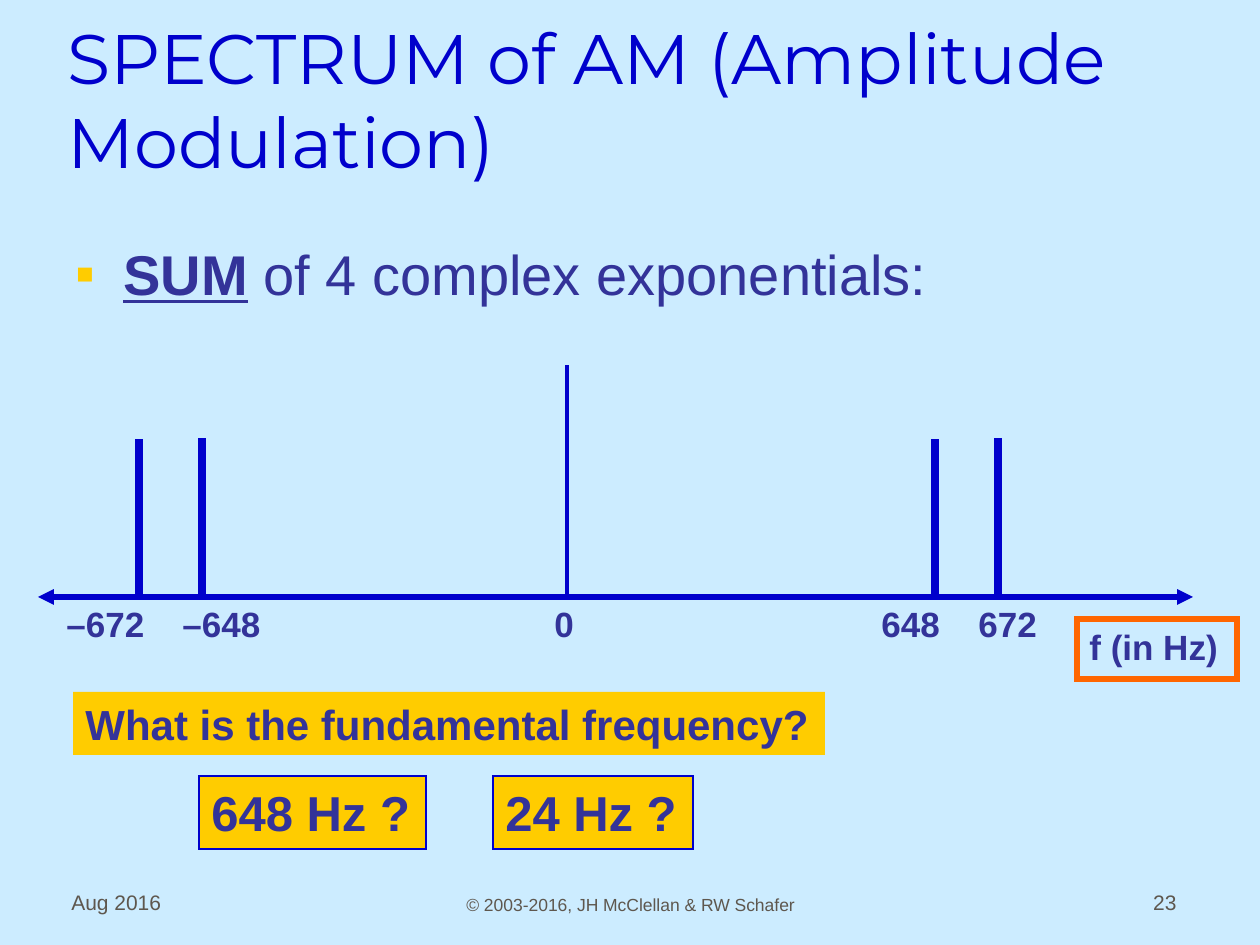
from lxml import etree
from pptx import Presentation
from pptx import util as u
from pptx.dml.color import RGBColor
from pptx.enum import shapes, text
from pptx.oxml.ns import qn

SCALE = 914400 / 126
BLUE, INDIGO, GOLD, ORANGE, GREY = "0000CC", "333399", "FFCC00", "FF6600", "5E574E"
LEFT, CENTER, RIGHT = text.PP_ALIGN.LEFT, text.PP_ALIGN.CENTER, text.PP_ALIGN.RIGHT
TOP, BOTTOM = text.MSO_ANCHOR.TOP, text.MSO_ANCHOR.BOTTOM
AXIS_Y = 597


def emu(*lengths):
    return [round(length * SCALE) for length in lengths]


def color(value):
    return RGBColor.from_string(value)


def add_span(para, words, size=20, fill=INDIGO, bold=False, underline=False, font="Arial"):
    span = para.add_run()
    span.text = words
    span.font.name, span.font.size = font, u.Pt(size)
    span.font.bold, span.font.underline = bold, underline
    span.font.color.rgb = color(fill)


class SpectrumPage:
    """Holds the style and the current slide, and adds each kind of element."""

    def __init__(self, deck):
        self.page = deck.slides.add_slide(deck.slide_layouts[5])
        self.page.background.fill.solid()
        self.page.background.fill.fore_color.rgb = color("CCECFF")

    def frame(self, box, align=LEFT, anchor=TOP, wrap=True):
        frame = box.text_frame
        frame.word_wrap = wrap
        fit = text.MSO_AUTO_SIZE
        frame.auto_size = fit.NONE if wrap else fit.SHAPE_TO_FIT_TEXT
        frame.vertical_anchor = anchor
        para = frame.paragraphs[0]
        para.alignment = align
        return para

    def title(self, words, *place):
        box = self.page.shapes.title
        box.left, box.top, box.width, box.height = emu(*place)
        add_span(self.frame(box, anchor=BOTTOM), words, size=40, fill=BLUE, font="Montserrat")

    def label(self, words, *place, align=LEFT, anchor=TOP, wrap=False, **style):
        box = self.page.shapes.add_textbox(*emu(*place))
        add_span(self.frame(box, align, anchor, wrap), words, **style)

    def bullet(self, spans, *place):
        box = self.page.shapes.add_textbox(*emu(*place))
        para = self.frame(box)
        indent = emu(48)[0]
        props = para._p.get_or_add_pPr()
        props.set("marL", str(indent))
        props.set("indent", str(-indent))
        tint = etree.SubElement(props, qn("a:buClr"))
        etree.SubElement(tint, qn("a:srgbClr"), val=GOLD)
        etree.SubElement(props, qn("a:buFont"), typeface="Arial")
        etree.SubElement(props, qn("a:buChar"), char="▪")
        for words, style in spans:
            add_span(para, words, size=32, **style)

    def panel(self, words, *place, size=20, fill=None, line=None, width=0.75):
        box = self.page.shapes.add_shape(shapes.MSO_SHAPE.RECTANGLE, *emu(*place))
        box.shadow.inherit = False
        if fill:
            box.fill.solid()
            box.fill.fore_color.rgb = color(fill)
        else:
            box.fill.background()
        if line:
            box.line.color.rgb = color(line)
            box.line.width = u.Pt(width)
            outline = box._element.spPr.find(qn("a:ln"))
            etree.SubElement(outline, qn("a:miter"), lim="800000")
        else:
            box.line.fill.background()
        add_span(self.frame(box, wrap=False), words, size=size, bold=True)

    def line(self, *ends, width, arrows=False):
        line = self.page.shapes.add_connector(shapes.MSO_CONNECTOR.STRAIGHT, *emu(*ends))
        line.line.color.rgb = color(BLUE)
        line.line.width = u.Pt(width)
        props = line._element.spPr
        if arrows:
            for end in ("a:headEnd", "a:tailEnd"):
                etree.SubElement(props.find(qn("a:ln")), qn(end), type="triangle")
        etree.SubElement(props, qn("a:effectLst"))


def main():
    deck = Presentation()
    deck.slide_width, deck.slide_height = emu(1260, 945)
    slide = SpectrumPage(deck)

    footers = [
        ("Aug 2016", 59, 262, LEFT, 12),
        ("© 2003-2016, JH McClellan & RW Schafer", 431, 399, CENTER, 10),
        ("23", 927, 262, RIGHT, 12),
    ]
    for words, left, width, align, size in footers:
        slide.label(words, left, 858, width, 63, align=align, anchor=BOTTOM,
                    wrap=True, size=size, fill=GREY)

    slide.title("SPECTRUM of AM (Amplitude Modulation)", 55, 31, 1071, 158)
    slide.bullet([("SUM", {"bold": True, "underline": True}),
                  (" of 4 complex exponentials:", {})], 63, 233, 1126, 575)

    slide.panel("What is the fundamental frequency?", 73, 692, 752, 63, size=24, fill=GOLD)
    for words, left, width in [("648 Hz ?", 199, 227), ("24 Hz ?", 493, 200)]:
        slide.panel(words, left, 776, width, 73, size=28, fill=GOLD, line=BLUE)
    slide.panel("f (in Hz)", 1077, 619, 160, 60, line=ORANGE, width=3)

    slide.line(567, AXIS_Y, 567, 365, width=2.25)
    slide.line(38, AXIS_Y, 1193, AXIS_Y, width=3, arrows=True)
    for outer in (139, 935):
        slide.line(outer, AXIS_Y, outer, 439, width=4.5)
        slide.line(outer + 63, AXIS_Y, outer + 63, 438, width=4.5)

    ticks = [("–672", 54, 106), ("–648", 170, 106), ("0", 542, 47),
             ("648", 869, 87), ("672", 966, 87)]
    for words, left, width in ticks:
        slide.label(words, left, AXIS_Y - 1, width, 54, bold=True)

    deck.save("out.pptx")


if __name__ == "__main__":
    main()
